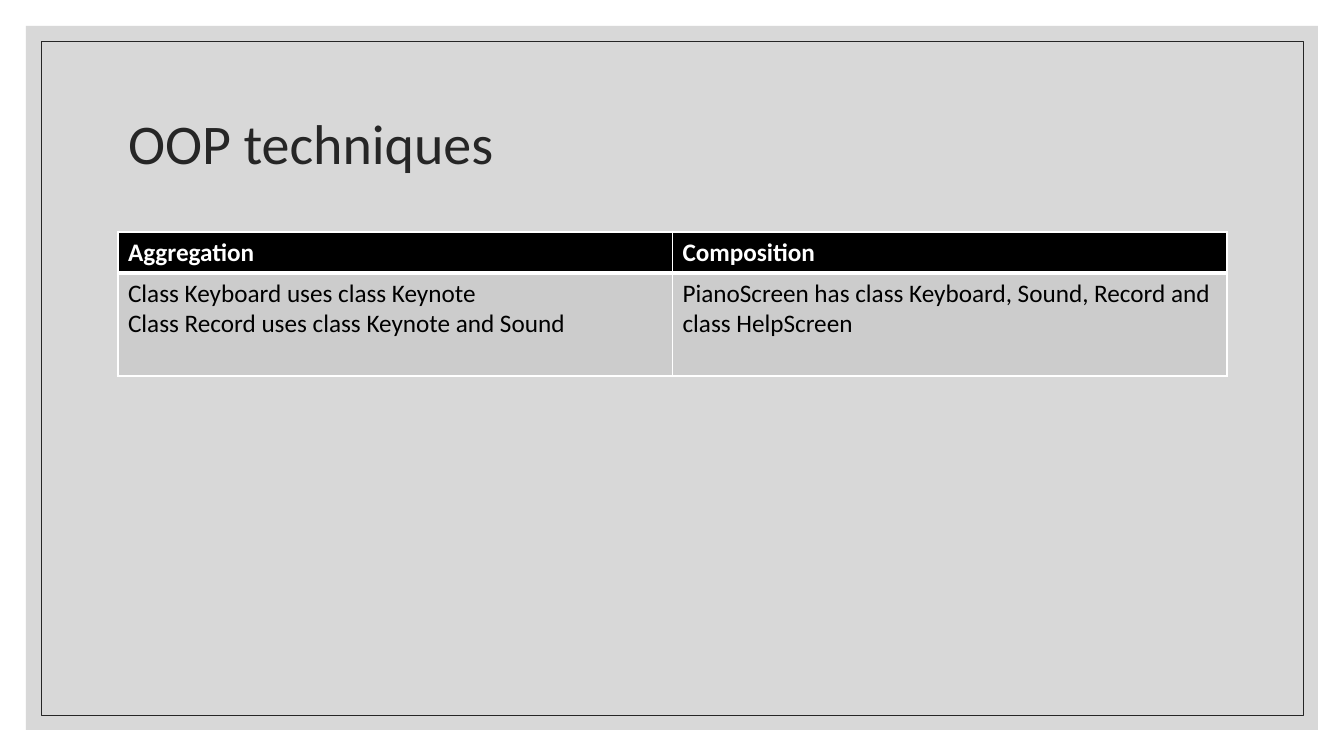
import pptx
import pptx.dml.color
import pptx.enum.shapes
import pptx.enum.text
import pptx.oxml
import pptx.oxml.ns
import pptx.util
from lxml import etree

PX = 914400 / 100.8
FONT = "Calibri"
ROWS = [
    (41, ["Aggregation", "Composition"]),
    (103, [
        "Class Keyboard uses class Keynote\nClass Record uses class Keynote and Sound",
        "PianoScreen has class Keyboard, Sound, Record and class HelpScreen",
    ]),
]


def px(length):
    return pptx.util.Emu(round(length * PX))


def color(hex_string):
    return pptx.dml.color.RGBColor.from_string(hex_string)


def write(frame, text, size, ink, bold=False, spacing=None):
    frame.text = text
    for para in frame.paragraphs:
        para.alignment = pptx.enum.text.PP_ALIGN.LEFT
        para.line_spacing = spacing
        font = para.runs[0].font
        font.name, font.size, font.bold = FONT, pptx.util.Pt(size), bold
        font.color.rgb = color(ink)


def add_frame(page, inset, fill=None, opacity=100, line=None):
    """Add a rectangle held the same distance from every slide edge."""
    box = page.shapes.add_shape(
        pptx.enum.shapes.MSO_SHAPE.RECTANGLE,
        px(inset), px(inset), px(1344 - 2 * inset), px(756 - 2 * inset))
    box.shadow.inherit = False
    if fill:
        box.fill.solid()
        box.fill.fore_color.rgb = color(fill)
        tint = box.element.spPr.find(".//" + pptx.oxml.ns.qn("a:srgbClr"))
        etree.SubElement(tint, pptx.oxml.ns.qn("a:alpha"), val=str(opacity * 1000))
    else:
        box.fill.background()
    if line:
        box.line.color.rgb = color(line)
        box.line.width = pptx.util.Pt(0.5)
    else:
        box.line.fill.background()


def add_title(page, text):
    title = page.shapes.title
    title.left, title.top, title.width, title.height = px(118), px(71), px(1109), px(151)
    frame = title.text_frame
    frame.word_wrap = True
    frame.auto_size = pptx.enum.text.MSO_AUTO_SIZE.NONE
    frame.vertical_anchor = pptx.enum.text.MSO_ANCHOR.MIDDLE
    write(frame, text, 40, "262626", spacing=0.9)
    # Bring the title in front of the frames
    title.element.getparent().append(title.element)


def set_borders(cell, **widths):
    """Give the cell white borders; widths are points by side, in the order L, R, T, B."""
    for side, width in widths.items():
        cell._tc.get_or_add_tcPr().append(pptx.oxml.parse_xml(
            f'<a:ln{side} {pptx.oxml.ns.nsdecls("a")} w="{pptx.util.Pt(width)}">'
            f'<a:solidFill><a:srgbClr val="FFFFFF"/></a:solidFill></a:ln{side}>'))


def add_technique_table(page):
    height = sum(row_height for row_height, _ in ROWS)
    table = page.shapes.add_table(
        len(ROWS), 2, px(118), px(232), px(1109), px(height)).table
    for row, (row_height, texts) in enumerate(ROWS):
        header = row == 0
        table.rows[row].height = px(row_height)
        for column, text in enumerate(texts):
            cell = table.cell(row, column)
            write(cell.text_frame, text, 18, "FFFFFF" if header else "000000", bold=header)
            set_borders(cell, L=1, R=1, T=1 if header else 3, B=3 if header else 1)
            cell.fill.solid()
            cell.fill.fore_color.rgb = color("000000" if header else "CCCCCC")


def main():
    deck = pptx.Presentation()
    deck.slide_width, deck.slide_height = px(1344), px(756)
    page = deck.slides.add_slide(deck.slide_layouts[5])
    add_frame(page, 26, fill="BFBFBF", opacity=60)
    add_frame(page, 41, line="262626")
    add_title(page, "OOP techniques")
    add_technique_table(page)
    deck.save("out.pptx")


if __name__ == "__main__":
    main()
